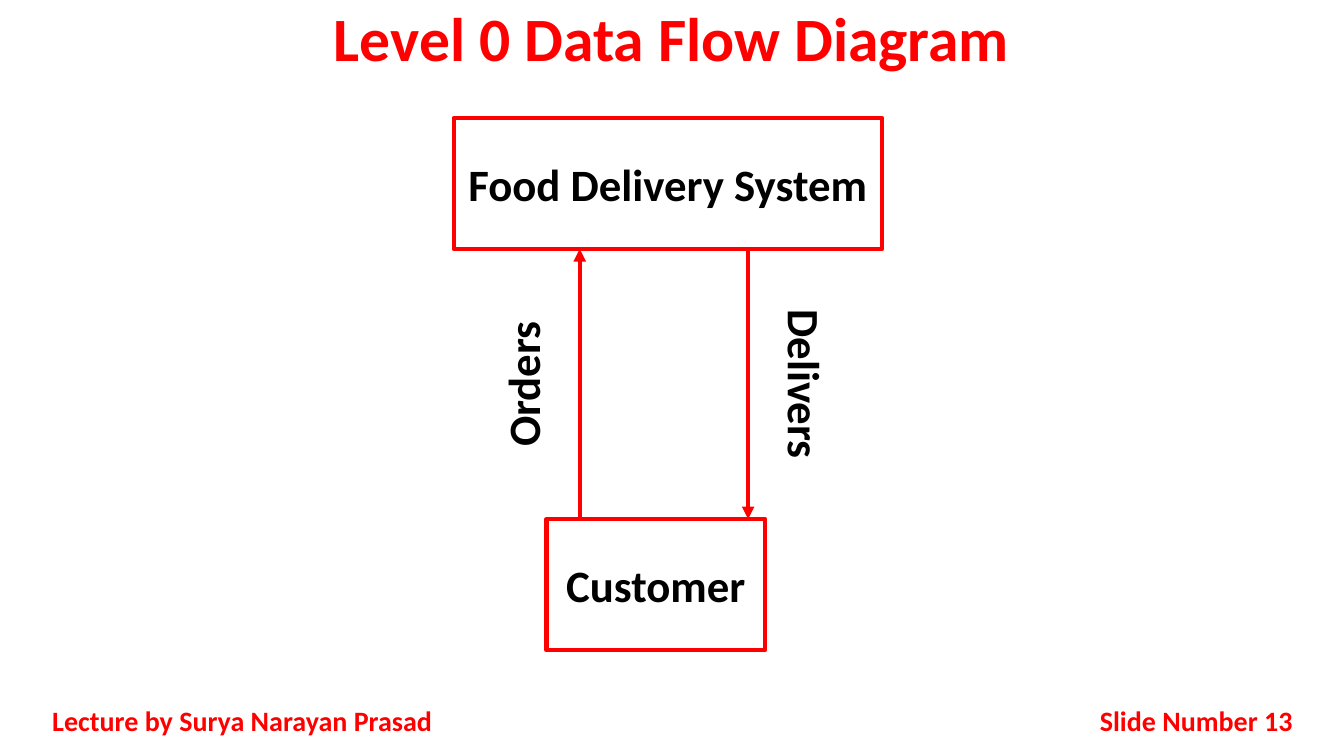
from lxml.etree import SubElement
from pptx import Presentation
from pptx.dml.color import RGBColor
from pptx.enum.shapes import MSO_CONNECTOR as CONNECTOR, MSO_SHAPE as SHAPE
from pptx.enum.text import MSO_ANCHOR as ANCHOR, PP_ALIGN as ALIGN
from pptx.oxml.ns import qn
from pptx.util import Inches, Pt

WIDTH, HEIGHT = 13.33, 7.5
RED, BLACK = "FF0000", "000000"


def color(hex_string):
    """Turn a hex string into a colour."""
    return RGBColor.from_string(hex_string)


def write(shape, text, size=32, ink=BLACK, align=ALIGN.CENTER, spacing=None):
    """Put bold, vertically centred text into a shape."""
    frame = shape.text_frame
    frame.word_wrap = True
    frame.vertical_anchor = ANCHOR.MIDDLE
    paragraph = frame.paragraphs[0]
    paragraph.alignment = align
    paragraph.line_spacing = spacing
    run = paragraph.add_run()
    run.text = text
    run.font.name, run.font.size, run.font.bold = "Calibri", Pt(size), True
    run.font.color.rgb = color(ink)


def add_label(slide, box, text, rotation=0, **text_format):
    """Add a text box at left, top, width, height."""
    label = slide.shapes.add_textbox(*map(Inches, box))
    label.rotation = rotation
    write(label, text, **text_format)


def add_entity(slide, box, text):
    """Add a red outlined rectangle with its name."""
    entity = slide.shapes.add_shape(SHAPE.RECTANGLE, *map(Inches, box))
    entity.shadow.inherit = False
    entity.fill.background()
    entity.line.color.rgb = color(RED)
    entity.line.width = Pt(3)
    write(entity, text)


def add_flow(slide, x, start, end):
    """Add a vertical arrow from start to end."""
    flow = slide.shapes.add_connector(CONNECTOR.STRAIGHT, *map(Inches, (x, start, x, end)))
    flow.line.color.rgb = color(RED)
    flow.line.width = Pt(3)
    SubElement(flow.line._get_or_add_ln(), qn("a:tailEnd"), type="triangle")
    SubElement(flow._element.spPr, qn("a:effectLst"))


def add_diagram(slide, box):
    """Place both entities and the flows between them in the box."""
    left, top, width, height = box
    entity_height = 1.3
    system_bottom = top + entity_height
    customer_top = top + height - entity_height
    add_entity(slide, (left + 0.92, customer_top, 2.17, entity_height), "Customer")
    add_entity(slide, (left, top, width, entity_height), "Food Delivery System")

    orders_x, delivers_x = left + 1.25, left + 2.92
    add_flow(slide, orders_x, customer_top, system_bottom)
    add_flow(slide, delivers_x, system_bottom, customer_top)

    label_width, label_height, gap = 2.34, 0.83, 0.57
    label_top = top + (height - label_height) / 2
    for text, center, rotation in (
        ("Orders", orders_x - gap, 270),
        ("Delivers", delivers_x + gap, 90),
    ):
        label_box = (center - label_width / 2, label_top, label_width, label_height)
        add_label(slide, label_box, text, rotation)


def add_footer(slide, box):
    """Place the lecturer on the left and the slide number on the right."""
    left, top, width, height = box
    number_width = 2.75
    add_label(slide, (left, top, 4.17, height), "Lecture by Surya Narayan Prasad",
              size=20, ink=RED, align=ALIGN.JUSTIFY)
    add_label(slide, (left + width - number_width, top, number_width, height),
              "Slide Number 13", size=20, ink=RED, align=ALIGN.RIGHT)


def main():
    """Build and save the slide."""
    deck = Presentation()
    deck.slide_width, deck.slide_height = Inches(WIDTH), Inches(HEIGHT)
    slide = deck.slides.add_slide(deck.slide_layouts[6])
    add_label(slide, (0, 0, WIDTH, 0.83), "Level 0 Data Flow Diagram",
              size=44, ink=RED, spacing=0.9)
    add_footer(slide, (0.42, 6.95, 12.5, 0.4))
    add_diagram(slide, (4.5, 1.17, 4.25, 5.28))
    deck.save("out.pptx")


if __name__ == "__main__":
    main()
